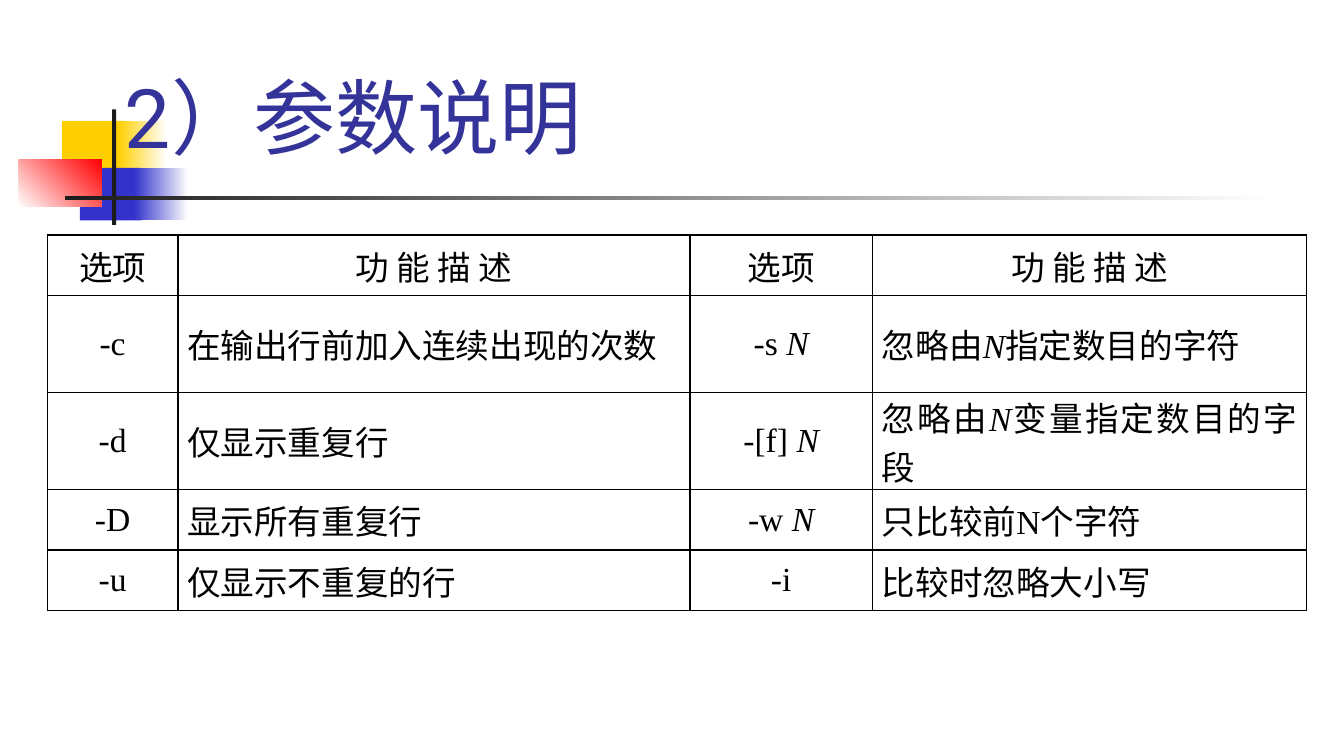
import pptx
import pptx.util
import pptx.dml.color
import pptx.enum.lang
import pptx.enum.shapes
import pptx.enum.text
import pptx.oxml
import pptx.oxml.ns

ALIGN = pptx.enum.text.PP_ALIGN
ANCHOR = pptx.enum.text.MSO_ANCHOR
COLORS = {
    "yellow": "FFCF01",
    "blue": "3333CC",
    "red": "FF0000",
    "dark": "1C1C1C",
    "white": "FFFFFF",
    "title": "333399",
    "black": "000000",
}


def color(name):
    return pptx.dml.color.RGBColor.from_string(COLORS[name])


def grid(units):
    """Length on a grid whose columns and rows are a tenth of an inch."""
    return pptx.util.Inches(units / 10)


def write(frame, text, size=18, font="Times New Roman", ink="black",
          align=ALIGN.LEFT):
    """Fill a text frame; parts between asterisks become italic."""
    paragraph = frame.paragraphs[0]
    paragraph.alignment = align
    for index, part in enumerate(text.split("*")):
        if not part:
            continue
        run = paragraph.add_run()
        run.text = part
        run.font.size = pptx.util.Pt(size)
        run.font.name = font
        run.font.italic = index % 2 == 1
        run.font.color.rgb = color(ink)
        run.font.language_id = pptx.enum.lang.MSO_LANGUAGE_ID.SIMPLIFIED_CHINESE


class SlideBuilder:
    title_font = "Roboto"
    border = 1
    divider = 1.5

    def __init__(self, presentation):
        self.slide = presentation.slides.add_slide(presentation.slide_layouts[5])

    def block(self, left, top, width, height, start, end=None, angle=0):
        """Rectangle with a solid fill, or a gradient when an end is given."""
        shape = self.slide.shapes.add_shape(
            pptx.enum.shapes.MSO_SHAPE.RECTANGLE,
            grid(left), grid(top), grid(width), grid(height))
        shape.shadow.inherit = False
        shape.line.fill.background()
        if end is None:
            shape.fill.solid()
            shape.fill.fore_color.rgb = color(start)
            return
        shape.fill.gradient()
        shape.fill.gradient_angle = angle
        for stop, name, position in zip(shape.fill.gradient_stops, (start, end), (0, 1)):
            stop.color.rgb = color(name)
            stop.position = position

    def title(self, text, left, top, width, height):
        shape = self.slide.shapes.title
        shape.left, shape.top = grid(left), grid(top)
        shape.width, shape.height = grid(width), grid(height)
        frame = shape.text_frame
        frame.auto_size = pptx.enum.text.MSO_AUTO_SIZE.NONE
        frame.word_wrap = True
        frame.vertical_anchor = ANCHOR.BOTTOM
        write(frame, text, size=44, font=self.title_font, ink="title")
        # Bring the title in front of the decoration
        self.slide.shapes._spTree.append(shape._element)

    def cell_borders(self, cell, widths):
        properties = cell._tc.get_or_add_tcPr()
        for side, width in widths.items():
            properties.append(pptx.oxml.parse_xml(
                f'<a:ln{side} {pptx.oxml.ns.nsdecls("a")} w="{pptx.util.Pt(width)}">'
                f'<a:solidFill><a:srgbClr val="{COLORS["black"]}"/></a:solidFill>'
                f'</a:ln{side}>'))

    def table(self, rows, left, top, widths, heights):
        table = self.slide.shapes.add_table(
            len(rows), len(widths), grid(left), grid(top),
            grid(sum(widths)), grid(sum(heights))).table
        table.first_row = table.horz_banding = False
        for column, width in zip(table.columns, widths):
            column.width = grid(width)
        for row, height in zip(table.rows, heights):
            row.height = grid(height)
        for row_index, row in enumerate(rows):
            for column_index, text in enumerate(row):
                cell = table.cell(row_index, column_index)
                centred = row_index == 0 or column_index % 2 == 0
                write(cell.text_frame, text,
                      align=ALIGN.CENTER if centred else ALIGN.JUSTIFY)
                cell.vertical_anchor = ANCHOR.MIDDLE
                cell.margin_left = cell.margin_right = grid(0.7)
                cell.margin_top = cell.margin_bottom = 0
                # The two halves of the table meet at a thicker line
                self.cell_borders(cell, {
                    "L": self.divider if column_index == 2 else self.border,
                    "R": self.divider if column_index == 1 else self.border,
                    "T": self.border,
                    "B": self.border,
                })
                cell.fill.background()


def main():
    presentation = pptx.Presentation()
    presentation.slide_width = grid(100)
    presentation.slide_height = grid(56.25)
    builder = SlideBuilder(presentation)

    # Coloured squares
    builder.block(4.6, 9, 4.8, 3.9, "yellow")
    builder.block(8.8, 9, 3.6, 3.9, "yellow", "white")
    builder.block(5.95, 12.5, 4.6, 3.9, "blue")
    builder.block(10, 12.5, 4, 3.9, "blue", "white")
    builder.block(1.4, 11.9, 6.15, 3.5, "white", "red", angle=45)

    # Crossed bars
    builder.block(8.35, 8.15, 0.3, 8.6, "dark")
    builder.block(4.85, 14.6, 90, 0.3, "dark", "white")

    # Title
    builder.title("2）参数说明", 8.3, 3.35, 89.2, 9.4)

    # Option table
    builder.table(
        [
            ["选项", "功 能 描 述"] * 2,
            ["-c", "在输出行前加入连续出现的次数", "-s* N*", "忽略由*N*指定数目的字符"],
            ["-d", "仅显示重复行", "-[f]* N*", "忽略由*N*变量指定数目的字段"],
            ["-D", "显示所有重复行", "-w* N*", "只比较前N个字符"],
            ["-u", "仅显示不重复的行", "-i", "比较时忽略大小写"],
        ],
        3.53, 17.5,
        widths=[9.7, 38.1, 13.6, 32.3],
        heights=[4.5, 7.2, 6, 4.5, 4.5])

    presentation.save("out.pptx")


if __name__ == "__main__":
    main()
